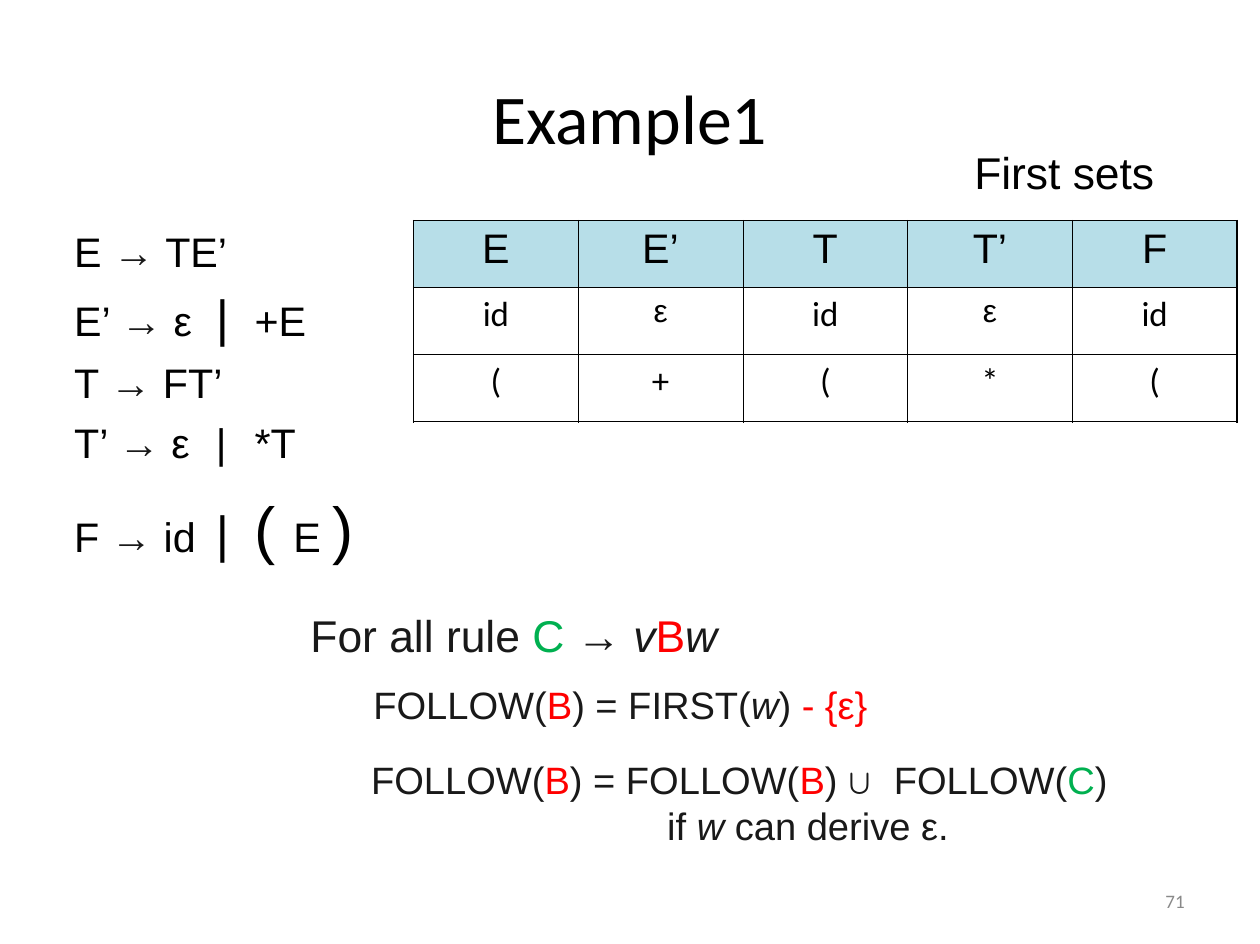
from lxml import etree
from pptx import Presentation
from pptx import util as u
from pptx.dml.color import RGBColor
from pptx.enum import text
from pptx.oxml import ns

BLACK = RGBColor(0x00, 0x00, 0x00)
INK = RGBColor(0x19, 0x19, 0x19)
RED = RGBColor(0xFF, 0x00, 0x00)
GREEN = RGBColor(0x00, 0xB0, 0x50)
GREY = RGBColor(0x89, 0x89, 0x89)
WHITE = RGBColor(0xFF, 0xFF, 0xFF)
HEADER_BLUE = RGBColor(0xB7, 0xDE, 0xE8)

THICK, THIN = 1.08, 0.45
ALIGN = text.PP_ALIGN


class Slide:
    """Style and current slide; places are percent of the slide's width and height."""

    def __init__(self, deck):
        self.width, self.height = deck.slide_width, deck.slide_height
        self.slide = deck.slides.add_slide(deck.slide_layouts[6])
        self.base = {"name": "Arial", "size": 24, "color": INK, "italic": False}

    def place(self, left, top, width, height):
        return (self.across(left), self.down(top), self.across(width), self.down(height))

    def across(self, share):
        return u.Emu(round(self.width * share / 100))

    def down(self, share):
        return u.Emu(round(self.height * share / 100))

    def add_runs(self, paragraph, runs, **style):
        """Each run is a text, or a text with the values that differ from the style."""
        for run in runs:
            words, changes = (run, {}) if isinstance(run, str) else run
            piece = paragraph.add_run()
            piece.text = words
            values = {**self.base, **style, **changes}
            piece.font.color.rgb = values.pop("color")
            values["size"] = u.Pt(values["size"])
            for key, value in values.items():
                setattr(piece.font, key, value)

    def add_text(self, at, lines, align=ALIGN.LEFT, anchor=text.MSO_ANCHOR.TOP,
                 gaps=(), tabs=(), indents=(), **style):
        frame = self.slide.shapes.add_textbox(*self.place(*at)).text_frame
        frame.word_wrap = True
        frame.vertical_anchor = anchor
        for index, runs in enumerate(lines):
            paragraph = frame.add_paragraph() if index else frame.paragraphs[0]
            paragraph.alignment = align
            if index and gaps:
                paragraph.space_before = u.Pt(gaps[index])
            properties = paragraph._p.get_or_add_pPr()
            if indents:
                properties.set("marL", str(self.across(indents[index])))
            if tabs:
                stops = etree.SubElement(properties, ns.qn("a:tabLst"))
                for stop in tabs:
                    etree.SubElement(stops, ns.qn("a:tab"),
                                     pos=str(self.across(stop)), algn="l")
            self.add_runs(paragraph, runs, **style)

    def add_border(self, cell, side, points):
        line = etree.SubElement(cell._tc.get_or_add_tcPr(), ns.qn(f"a:ln{side}"),
                                w=str(u.Pt(points)))
        fill = etree.SubElement(line, ns.qn("a:solidFill"))
        etree.SubElement(fill, ns.qn("a:srgbClr"), val=str(BLACK))

    def add_table(self, at, rows, row_styles, symbol_styles):
        last_row, last_column = len(rows) - 1, len(rows[0]) - 1
        table = self.slide.shapes.add_table(last_row + 1, last_column + 1,
                                            *self.place(*at)).table
        table.first_row = table.horz_banding = False
        for r, row in enumerate(rows):
            for c, symbol in enumerate(row):
                cell = table.cell(r, c)
                cell.margin_left = cell.margin_right = u.Inches(0.11)
                edges = {"L": c == 0, "R": c == last_column,
                         "T": r == 0, "B": r == last_row}
                for side, outer in edges.items():
                    self.add_border(cell, side, THICK if outer else THIN)
                cell.fill.solid()
                cell.fill.fore_color.rgb = WHITE if r else HEADER_BLUE
                paragraph = cell.text_frame.paragraphs[0]
                paragraph.alignment = ALIGN.CENTER
                style = {**row_styles[min(r, 1)], **symbol_styles.get(symbol, {})}
                self.add_runs(paragraph, [symbol], color=BLACK, **style)


def main():
    deck = Presentation()
    deck.slide_width, deck.slide_height = u.Inches(11.03), u.Inches(8.26)
    page = Slide(deck)

    arrow = ("→", {"color": INK})
    red_b, green_c = ("B", {"color": RED}), ("C", {"color": GREEN})
    v, w = ("v", {"italic": True}), ("w", {"italic": True})
    bar, bracket = {"size": 32}, {"size": 40}

    # Slide number and title
    page.add_text((71.62, 92.74, 23.3, 5.33), [["71"]], align=ALIGN.RIGHT,
                  anchor=text.MSO_ANCHOR.MIDDLE, name="Calibri", size=12, color=GREY)
    page.add_text((5, 4, 90, 16.7), [["Example1"]], align=ALIGN.CENTER,
                  anchor=text.MSO_ANCHOR.MIDDLE, name="Calibri", size=44, color=BLACK)

    # Grammar rules
    grammar = [
        ["E ", arrow, " TE’"],
        ["E’ ", arrow, " ε\t", ("|\t", bar), "+E"],
        ["T ", arrow, " FT’"],
        ["T’ ", arrow, " ε\t|\t*T"],
        ["F ", arrow, " id\t", ("|", bar), ("\t", {"size": 44}),
         ("( ", bracket), "E ", (")", bracket)],
    ]
    page.add_text((5, 23.37, 44.24, 66), grammar, gaps=(0, 6.5, 6.5, 6.5, 10),
                  tabs=(11.24, 14.32), size=26, color=BLACK)

    # First sets
    first_sets = [["E", "E’", "T", "T’", "F"],
                  ["id", "ε", "id", "ε", "id"],
                  ["(", "+", "(", "*", "("]]
    page.add_table((32.82, 23.37, 65.37, 21.31), first_sets,
                   row_styles=({"size": 26}, {"name": "Calibri", "size": 22}),
                   symbol_styles={"ε": {"name": "Arial", "size": 20}})
    page.add_text((76.43, 14.77, 18, 6.9), [["First sets"]], size=28, color=BLACK)

    # Follow rules
    page.add_text((23.75, 63.8, 36, 6.9),
                  [["For all rule ", green_c, " → ", v, red_b, w]], size=28)
    page.add_text((28.74, 71.55, 43, 6.05),
                  [["FOLLOW(", red_b, ") = FIRST(", w, ") ", ("- {ε}", {"color": RED})]])
    page.add_text((28.56, 79.54, 70.7, 10.9),
                  [["FOLLOW(", red_b, ") = FOLLOW(", red_b, ") ",
                    ("∪ ", {"name": "Courier New"}), "FOLLOW(", green_c, ")"],
                   ["if ", w, " can derive ε."]], indents=(0, 23.5))

    deck.save("out.pptx")


if __name__ == "__main__":
    main()
